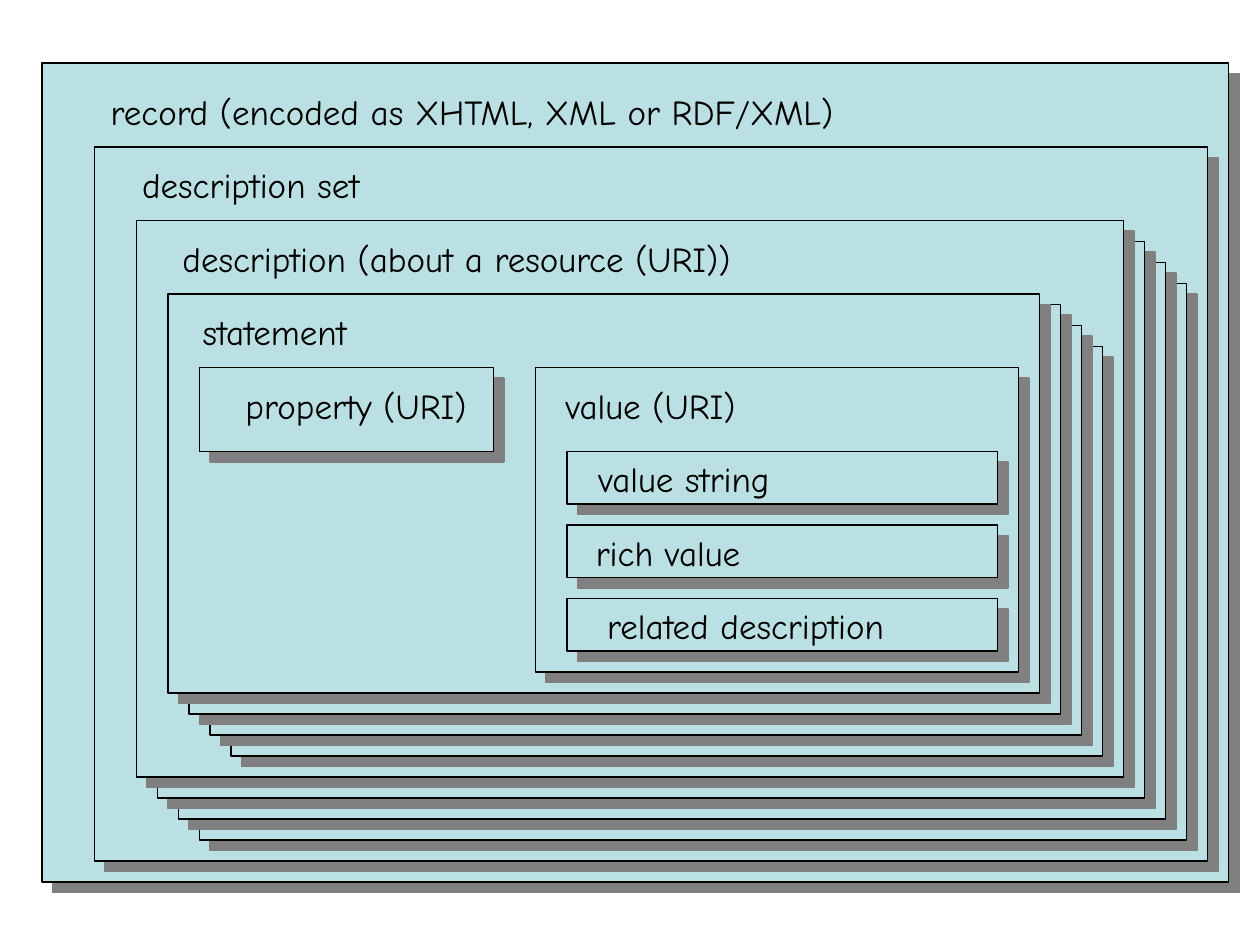
from dataclasses import dataclass

from lxml.etree import SubElement
from pptx import Presentation
from pptx.dml.color import RGBColor
from pptx.enum.shapes import MSO_SHAPE
from pptx.enum.text import MSO_AUTO_SIZE, PP_ALIGN
from pptx.oxml.ns import qn
from pptx.util import Inches, Pt

COLORS = {"fill": "BBE0E3", "ink": "000000", "shadow": "808080"}
LABEL_FONT = {"name": "Comic Neue", "size": Pt(20)}
LABEL_FRAME = {"word_wrap": False, "auto_size": MSO_AUTO_SIZE.SHAPE_TO_FIT_TEXT}
SHADOW = {"blurRad": 0, "dist": Pt(8.5), "dir": 45 * 60000, "algn": "ctr", "rotWithShape": 0}
LABEL_HEIGHT = 0.44
STACK_STEP = 2  # grid units between stacked cards


@dataclass
class Frame:
    """A labelled box; its edges lie on a grid of twelfths of an inch."""
    text: str
    left: int
    top: int
    width: int
    height: int
    label_left: float  # inches
    label_width: float  # inches
    label_drop: int = 1  # grid units below the top edge
    copies: int = 0  # cards stacked behind
    copy_rise: int = 0  # extra height of those cards


FRAMES = [
    Frame("record (encoded as XHTML, XML or RDF/XML)", 4, 6, 113, 78, 0.78, 5.97, label_drop=2),
    Frame("description set", 9, 14, 106, 68, 1.03, 1.93),
    Frame("description (about a resource (URI))", 13, 21, 94, 53, 1.35, 4.57, copies=3),
    Frame("statement", 16, 28, 83, 38, 1.51, 1.36, copies=3, copy_rise=1),
    Frame("property (URI)", 19, 35, 28, 8, 1.85, 1.96),
    Frame("value (URI)", 51, 35, 46, 29, 4.39, 1.55),
]

# Parts of the value: text, label left, label width
VALUE_PARTS = [
    ("value string", 4.65, 1.56),
    ("rich value", 4.63, 1.35),
    ("related description", 4.72, 2.41),
]
FRAMES += [
    Frame(text, 54, 43 + 7 * row, 41, 5, label_left, label_width, label_drop=0)
    for row, (text, label_left, label_width) in enumerate(VALUE_PARTS)
]


def grid(units: int) -> int:
    return Inches(units / 12)


def color(name: str) -> RGBColor:
    return RGBColor.from_string(COLORS[name])


def add_card(page, left: int, top: int, width: int, height: int) -> None:
    card = page.shapes.add_shape(MSO_SHAPE.RECTANGLE, *map(grid, (left, top, width, height)))
    card.fill.solid()
    card.fill.fore_color.rgb = color("fill")
    card.line.color.rgb = color("ink")
    card.line.width = Pt(0.75)
    # Hard grey drop shadow
    card.shadow.inherit = False
    effects = card.element.spPr.find(qn("a:effectLst"))
    shadow = SubElement(effects, qn("a:outerShdw"))
    for name, value in SHADOW.items():
        shadow.set(name, str(value))
    SubElement(shadow, qn("a:srgbClr")).set("val", COLORS["shadow"])


def add_label(page, frame: Frame) -> None:
    box = page.shapes.add_textbox(
        Inches(frame.label_left), grid(frame.top + frame.label_drop),
        Inches(frame.label_width), Inches(LABEL_HEIGHT))
    for name, value in LABEL_FRAME.items():
        setattr(box.text_frame, name, value)
    para = box.text_frame.paragraphs[0]
    para.alignment = PP_ALIGN.LEFT
    span = para.add_run()
    span.text = frame.text
    for name, value in LABEL_FONT.items():
        setattr(span.font, name, value)
    span.font.color.rgb = color("ink")


def add_frame(page, frame: Frame) -> None:
    # Rearmost card first, the labelled one last
    for depth in range(frame.copies, -1, -1):
        shift = depth * STACK_STEP
        rise = frame.copy_rise if depth else 0
        add_card(page, frame.left + shift, frame.top + shift - rise,
                 frame.width, frame.height + rise)
    add_label(page, frame)


def main() -> None:
    deck = Presentation()
    deck.slide_width, deck.slide_height = Inches(10), Inches(7.5)
    page = deck.slides.add_slide(deck.slide_layouts[6])
    for frame in FRAMES:
        add_frame(page, frame)
    deck.save("out.pptx")


if __name__ == "__main__":
    main()
